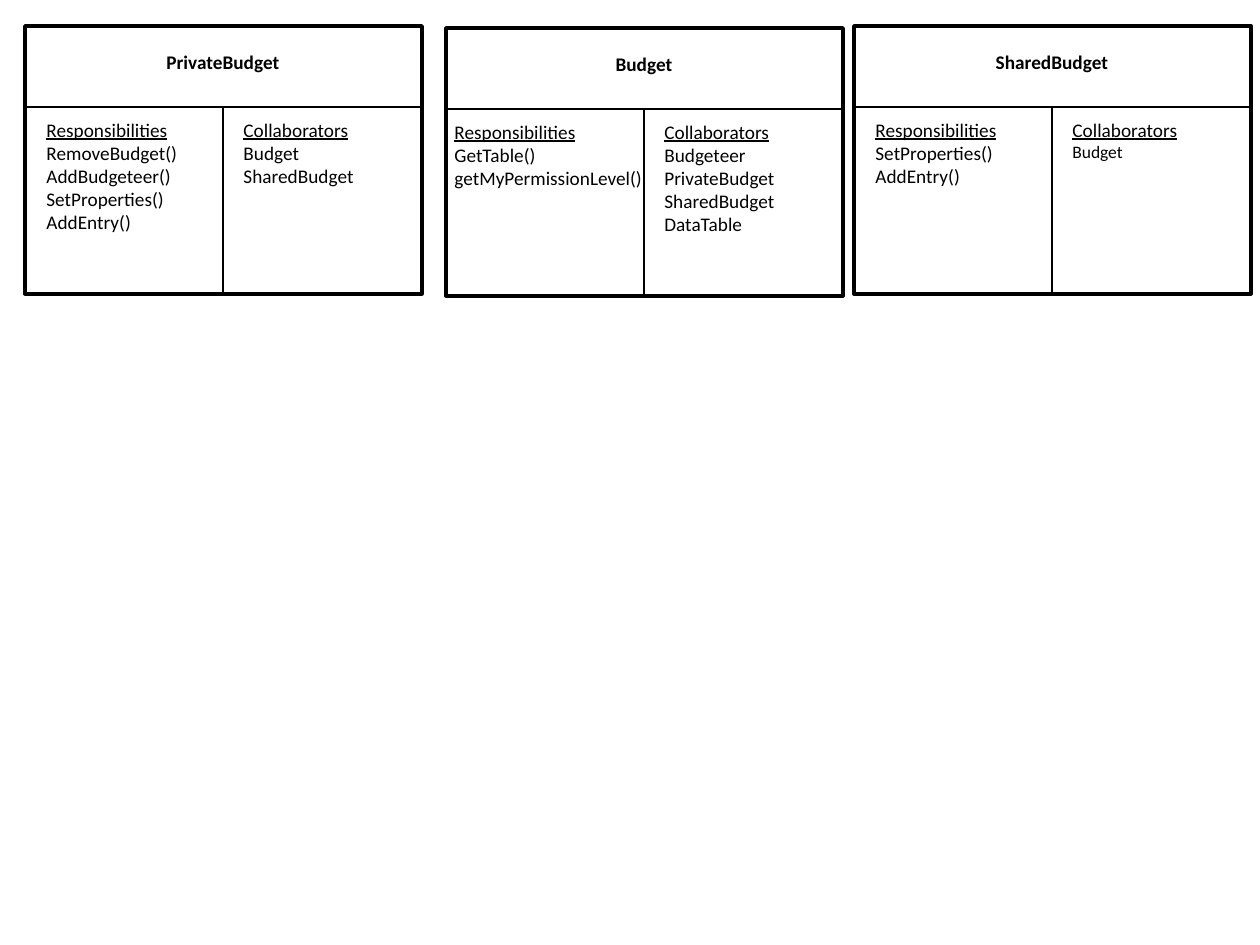
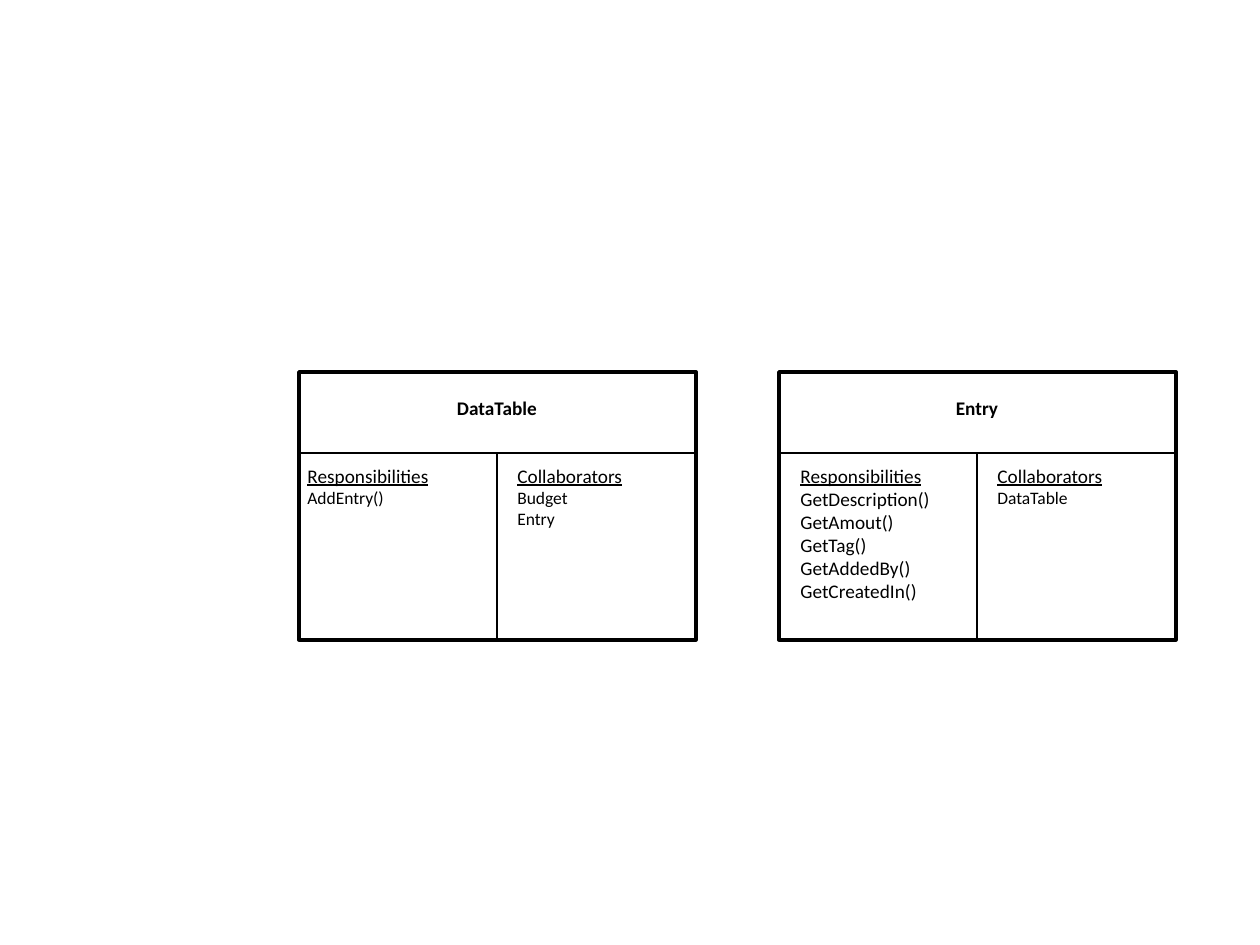
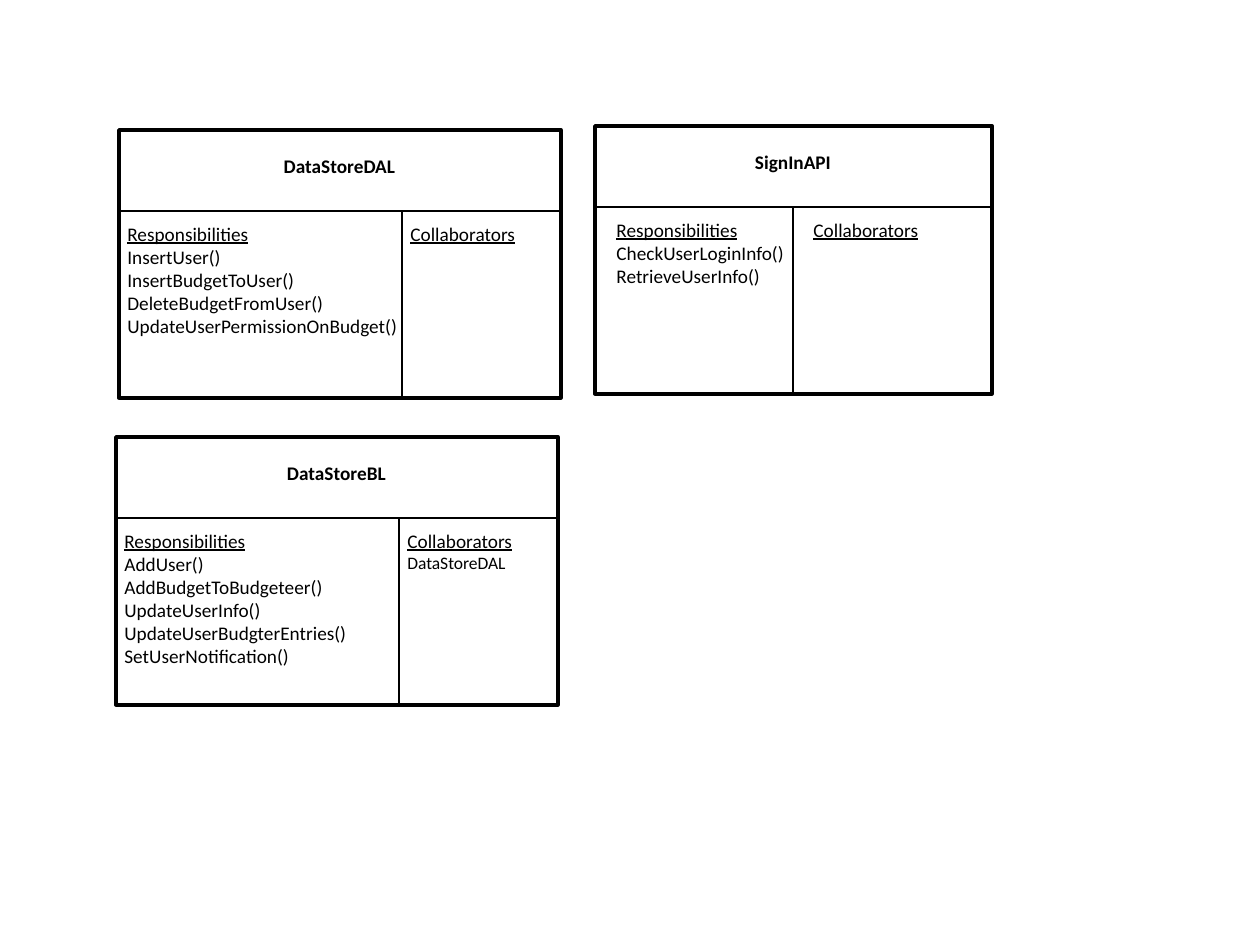
"""Build three slides of class-responsibility-collaborator cards."""
from dataclasses import dataclass

from lxml.etree import SubElement
from pptx import Presentation
from pptx.dml.color import RGBColor
from pptx.enum.shapes import MSO_CONNECTOR as Connector, MSO_SHAPE as Shape
from pptx.enum.text import MSO_AUTO_SIZE as AutoSize, PP_ALIGN as Align
from pptx.oxml.ns import qn
from pptx.util import Emu, Pt

SCALE = 914400 // 126
CARD_HEIGHT = 268
HEADER_HEIGHT = 81


def px(length):
    """Turn whole pixels into EMU."""
    return Emu(round(length) * SCALE)


def colour(code):
    """Turn a hex string into a colour."""
    return RGBColor.from_string(code)


@dataclass
class Column:
    """A list of names with its offset from the column edge, width and text size."""
    names: list
    offset: int
    width: int
    size: int = 11


class CardDeck:
    """Hold the card style and the current slide."""
    font = "Calibri"
    ink = "000000"
    paper = "FFFFFF"
    size = 11

    def __init__(self):
        """Start an empty deck."""
        self.deck = Presentation()
        self.deck.slide_width, self.deck.slide_height = px(1260), px(945)
        self.page = None

    def new_page(self):
        """Add a blank slide and make it current."""
        self.page = self.deck.slides.add_slide(self.deck.slide_layouts[6])

    def frame(self, group, left, top, width):
        """Draw the outline of a card."""
        box = group.shapes.add_shape(Shape.RECTANGLE, px(left), px(top), px(width), px(CARD_HEIGHT))
        box.shadow.inherit = False
        box.fill.solid()
        box.fill.fore_color.rgb = colour(self.paper)
        box.line.color.rgb = colour(self.ink)
        box.line.width = Pt(2)

    def rule(self, group, left, top, right, bottom):
        """Draw a thin line inside a card."""
        line = group.shapes.add_connector(Connector.STRAIGHT, px(left), px(top), px(right), px(bottom))
        line.line.color.rgb = colour(self.ink)
        line.line.width = Pt(0.75)
        SubElement(line._element.spPr, qn("a:effectLst"))

    def text(self, group, left, top, width, lines, size=11):
        """Add a text box with one paragraph for each line."""
        height = 37 + (len(lines) - 1) * (23 if size == self.size else 21)
        box = group.shapes.add_textbox(px(left), px(top), px(width), px(height))
        frame = box.text_frame
        frame.word_wrap = True
        frame.auto_size = AutoSize.SHAPE_TO_FIT_TEXT
        frame.text = "\n".join(lines)
        for index, para in enumerate(frame.paragraphs):
            for span in para.runs:
                span.font.name = self.font
                span.font.size = Pt(size if index else self.size)
                span.font.color.rgb = colour(self.ink)
        return frame.paragraphs[0]

    def column(self, group, heading, edge, top, column):
        """Add an underlined heading above a list of names."""
        first = self.text(group, edge + column.offset, top + HEADER_HEIGHT + 5, column.width,
                          [heading, *column.names], column.size)
        first.runs[0].font.underline = True

    def card(self, title, left, top, duties, partners, width=397, split=198):
        """Add one class card as a group."""
        group = self.page.shapes.add_group_shape()
        header = top + HEADER_HEIGHT
        self.frame(group, left, top, width)
        self.rule(group, left, header, left + width, header)
        self.rule(group, left + split, header, left + split, top + CARD_HEIGHT)
        first = self.text(group, left + width * 0.2, top + 18, width * 0.6, [title])
        first.alignment = Align.CENTER
        first.runs[0].font.bold = True
        self.column(group, "Responsibilities", left, top, duties)
        self.column(group, "Collaborators", left + split, top, partners)

    def wide_card(self, title, left, top, duties, partners):
        """Add a card with a wider left column."""
        self.card(title, left, top, Column(duties, -4, 318), Column(partners, -4, 152, 10),
                  width=442, split=283)


cards = CardDeck()

cards.new_page()
cards.card("PrivateBudget", 25, 26,
           Column(["RemoveBudget()", "AddBudgeteer()", "SetProperties()", "AddEntry()"], 9, 170),
           Column(["Budget", "SharedBudget"], 8, 144))
cards.card("Budget", 446, 28,
           Column(["GetTable()", "getMyPermissionLevel()"], -4, 218),
           Column(["Budgeteer", "PrivateBudget", "SharedBudget", "DataTable"], 8, 178))
cards.card("SharedBudget", 854, 26,
           Column(["SetProperties()", "AddEntry()"], 9, 170),
           Column(["Budget"], 8, 144, 10))

cards.new_page()
cards.card("DataTable", 299, 372,
           Column(["AddEntry()"], -4, 218, 10),
           Column(["Budget", "Entry"], 8, 178, 10))
cards.card("Entry", 779, 372,
           Column(["GetDescription()", "GetAmout()", "GetTag()", "GetAddedBy()", "GetCreatedIn()"], 9, 170),
           Column(["DataTable"], 8, 144, 10))

cards.new_page()
cards.wide_card("DataStoreDAL", 119, 130,
                ["InsertUser()", "InsertBudgetToUser()", "DeleteBudgetFromUser()",
                 "UpdateUserPermissionOnBudget()"], [])
cards.card("SignInAPI", 595, 126,
           Column(["CheckUserLoginInfo()", "RetrieveUserInfo()"], 9, 198),
           Column([], 8, 170))
cards.wide_card("DataStoreBL", 116, 437,
                ["AddUser()", "AddBudgetToBudgeteer()", "UpdateUserInfo()",
                 "UpdateUserBudgterEntries()", "SetUserNotification()"], ["DataStoreDAL"])

cards.deck.save("out.pptx")
